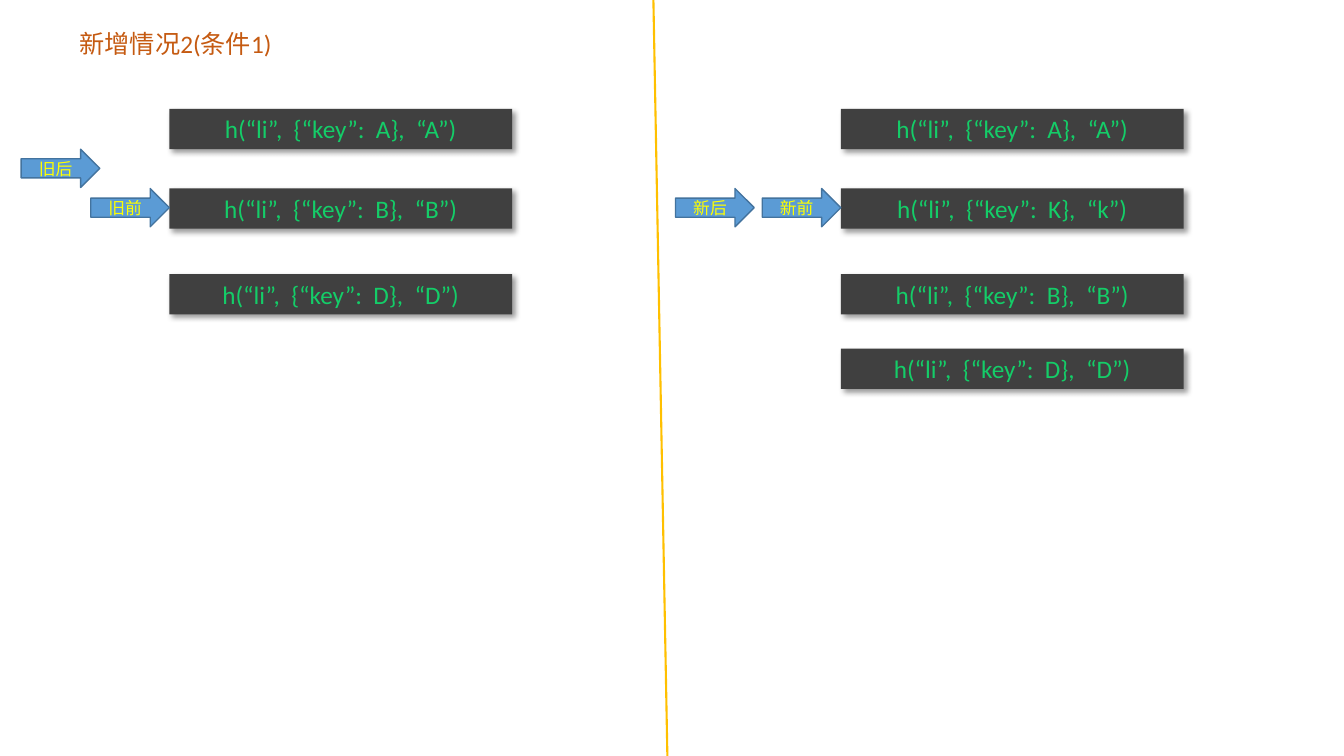
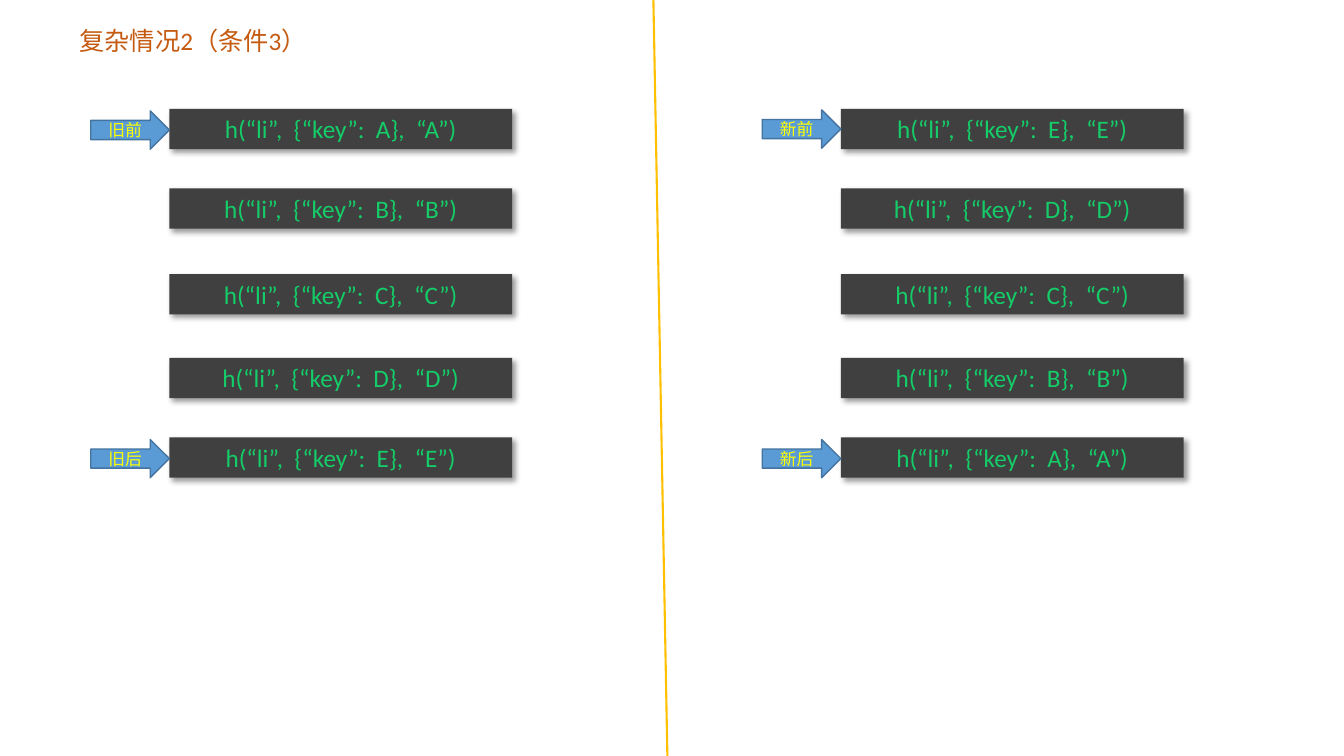
from lxml.etree import SubElement
from pptx import Presentation
from pptx.dml.color import RGBColor
from pptx.enum.shapes import MSO_CONNECTOR, MSO_SHAPE
from pptx.enum.text import MSO_ANCHOR, MSO_AUTO_SIZE, PP_ALIGN
from pptx.oxml.ns import qn
from pptx.util import Inches, Pt

# Content: nodes are (key, label) with the top of each row;
# pointers are (text, side, steps left of the nodes, top)
ROWS = [1.08, 1.87, 2.72, 3.55, 4.34]
SLIDES = [
    {
        "title": ("新增情况2(条件1)", 0.23),
        "old": [("A", "A"), ("B", "B"), ("D", "D")],
        "new": [("A", "A"), ("K", "k"), ("B", "B"), ("D", "D")],
        "rows": ROWS[:3] + [3.46],
        "pointers": [("旧前", "old", 0.90, 1.87), ("旧后", "old", 0.21, 1.48),
                     ("新前", "new", 7.56, 1.87), ("新后", "new", 6.70, 1.87)],
    },
    {
        "title": ("复杂情况2（条件3）", 0.20),
        "old": [(k, k) for k in "ABCDE"],
        "new": [(k, k) for k in "EDCBA"],
        "rows": ROWS,
        "pointers": [("旧前", "old", 0.90, 1.10), ("旧后", "old", 0.90, 4.36),
                     ("新前", "new", 7.56, 1.09), ("新后", "new", 7.56, 4.36)],
    },
]

# Shared style
COLORS = {"title": "C55A11", "node": "404040", "code": "14CD68",
          "code_end": "0B6E38", "divider": "FFC000", "arrow": "5B9BD5",
          "arrow_line": "43739E", "arrow_text": "FFFF00", "shadow": "000000"}
FONT = "Calibri"
NODE_LEFT = {"old": 1.68, "new": 8.34}
NODE_W, NODE_H = 3.4, 0.4
ARROW_W, ARROW_H = 0.78, 0.38


def rgb(name):
    return RGBColor.from_string(COLORS[name])


def write(shape, text, size, align=None, anchor=MSO_ANCHOR.TOP):
    tf = shape.text_frame
    tf.text = text
    tf.word_wrap = True
    tf.vertical_anchor = anchor
    p = tf.paragraphs[0]
    p.alignment = align
    font = p.runs[0].font
    font.name, font.size = FONT, Pt(size)
    return font


def add_box(s, kind, left, top, width, height, fill):
    sp = s.shapes.add_shape(kind, Inches(left), Inches(top),
                            Inches(width), Inches(height))
    sp.shadow.inherit = False
    sp.fill.solid()
    sp.fill.fore_color.rgb = rgb(fill)
    return sp


def add_shadow(sp):
    effects = sp.element.spPr.find(qn("a:effectLst"))
    shadow = SubElement(effects, qn("a:outerShdw"), blurRad=str(Pt(4)),
                        dist=str(Pt(3)), dir="2700000", algn="tl",
                        rotWithShape="0")
    color = SubElement(shadow, qn("a:srgbClr"), val=COLORS["shadow"])
    SubElement(color, qn("a:alpha"), val="40000")


def add_title(s, text, top):
    sp = s.shapes.add_textbox(Inches(0.69), Inches(top),
                              Inches(5.38), Inches(0.4))
    write(sp, text, 18).color.rgb = rgb("title")
    sp.text_frame.auto_size = MSO_AUTO_SIZE.SHAPE_TO_FIT_TEXT


def add_node(s, key, label, left, top):
    sp = add_box(s, MSO_SHAPE.RECTANGLE, left, top, NODE_W, NODE_H, "node")
    sp.line.fill.background()
    add_shadow(sp)
    code = f"h(“li”,  {{“key”:  {key}}},  “{label}”)"
    fill = write(sp, code, 18, PP_ALIGN.CENTER).fill
    fill.gradient()
    fill.gradient_angle = 0
    for stop, name in zip(fill.gradient_stops, ("code", "code_end")):
        stop.color.rgb = rgb(name)
    sp.text_frame.auto_size = MSO_AUTO_SIZE.SHAPE_TO_FIT_TEXT


def add_pointer(s, text, left, top):
    sp = add_box(s, MSO_SHAPE.RIGHT_ARROW, left, top, ARROW_W, ARROW_H, "arrow")
    sp.line.color.rgb = rgb("arrow_line")
    sp.line.width = Pt(1)
    font = write(sp, text, 12, PP_ALIGN.CENTER, MSO_ANCHOR.MIDDLE)
    font.color.rgb = rgb("arrow_text")


def add_divider(s):
    line = s.shapes.add_connector(MSO_CONNECTOR.STRAIGHT, Inches(6.48),
                                  Inches(-0.03), Inches(6.62), Inches(7.53))
    line.line.color.rgb = rgb("divider")
    line.line.width = Pt(1.5)
    SubElement(line.element.spPr, qn("a:effectLst"))


def main():
    prs = Presentation()
    prs.slide_width, prs.slide_height = Inches(13.33), Inches(7.5)
    for page in SLIDES:
        s = prs.slides.add_slide(prs.slide_layouts[6])
        add_title(s, *page["title"])
        for side, left in NODE_LEFT.items():
            for (key, label), top in zip(page[side], page["rows"]):
                add_node(s, key, label, left, top)
        add_divider(s)
        for text, _, left, top in page["pointers"]:
            add_pointer(s, text, left, top)
    prs.save("out.pptx")


if __name__ == "__main__":
    main()
